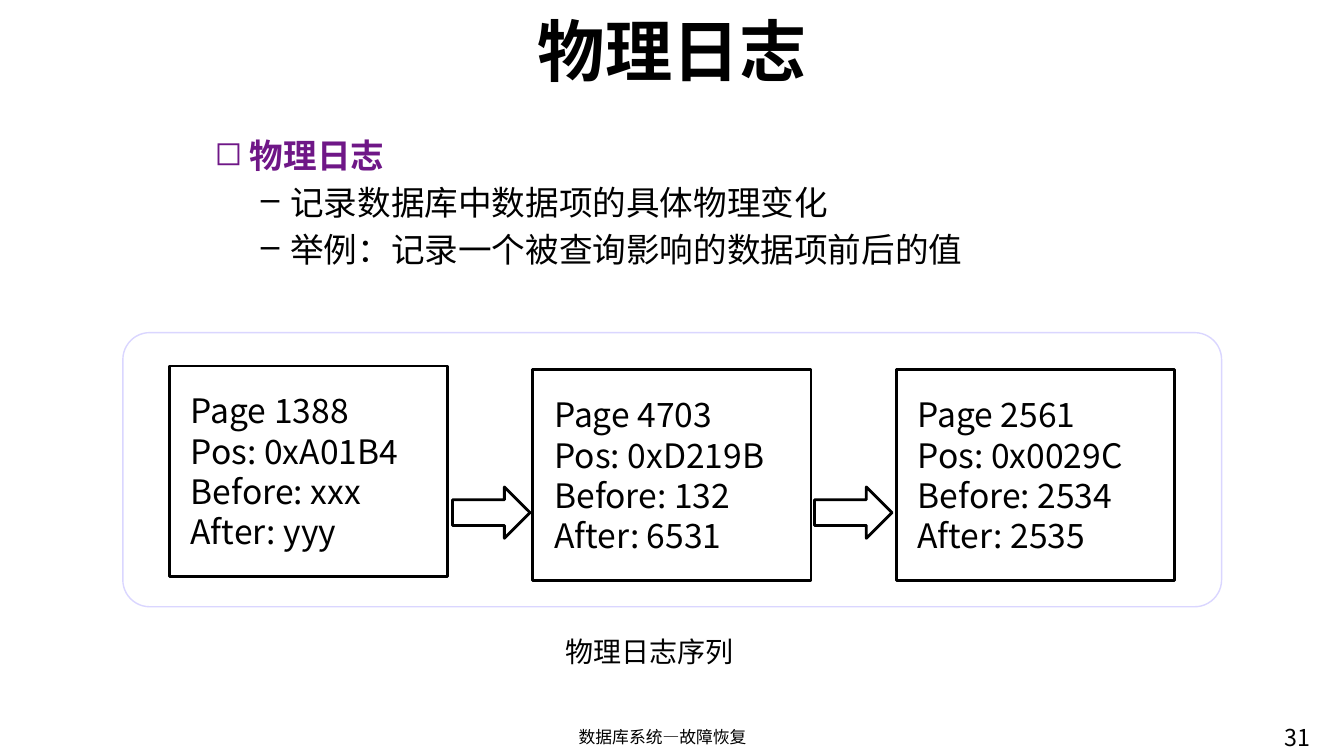
from dataclasses import dataclass

from lxml import etree
from pptx import Presentation
from pptx.dml.color import RGBColor as Rgb
from pptx.enum import shapes, text
from pptx.oxml import ns
from pptx.util import Pt


@dataclass(frozen=True)
class Theme:
    font: str = "Noto Sans CJK SC"
    ink: str = "000000"
    paper: str = "FFFFFF"
    accent: str = "6F1787"
    frame: str = "DAD6FF"
    title: float = 48
    body: float = 24
    label: float = 20
    page: float = 16.6
    foot: float = 12


THEME = Theme()
FORM = shapes.MSO_SHAPE
CENTER = text.PP_ALIGN.CENTER


def style(para, size, color=THEME.ink, bold=False, align=None):
    para.alignment = align
    font = para.font
    font.name, font.size, font.bold = THEME.font, Pt(size), bold
    font.color.rgb = Rgb.from_string(color)
    for run in para.runs:
        props = run._r.get_or_add_rPr()
        etree.SubElement(props, ns.qn("a:ea"), typeface=THEME.font)


def place(shape, area):
    shape.left, shape.top, shape.width, shape.height = map(Pt, area)


def add_text(slide, area, lines, size, align=None):
    box = slide.shapes.add_textbox(*map(Pt, area))
    frame = box.text_frame
    frame.word_wrap = True
    frame.text = "\n".join(lines)
    for para in frame.paragraphs:
        style(para, size, align=align)
    return frame


def add_form(slide, form, area, line=THEME.ink, width=2):
    shape = slide.shapes.add_shape(form, *map(Pt, area))
    shape.shadow.inherit = False
    shape.fill.solid()
    shape.fill.fore_color.rgb = Rgb.from_string(THEME.paper)
    shape.line.color.rgb = Rgb.from_string(line)
    shape.line.width = Pt(width)
    return shape


def add_title(slide, words):
    title = slide.shapes.title
    place(title, (82.8, 8.6, 794.9, 53.3))
    title.text_frame.text = words
    title.text_frame.vertical_anchor = text.MSO_ANCHOR.MIDDLE
    style(title.text_frame.paragraphs[0], THEME.title, bold=True, align=CENTER)


def set_bullet(para, mark, left, hang):
    props = para._p.get_or_add_pPr()
    props.set("marL", str(Pt(left)))
    props.set("indent", str(-Pt(hang)))
    etree.SubElement(props, ns.qn("a:buChar"), char=mark)


def add_points(slide, area, head, points):
    frame = add_text(slide, area, [], THEME.body)
    frame.text = "\n".join([head, *points])
    first, *rest = frame.paragraphs
    set_bullet(first, "◻", 25.2, 25.2)
    style(first, THEME.body, THEME.accent, bold=True)
    for para in rest:
        set_bullet(para, "–", 54, 20.9)
        para.space_before = Pt(4.8)
        para.level = 1
        style(para, THEME.body)


def add_record(slide, left, top, lines):
    add_form(slide, FORM.RECTANGLE, (left, top, 198.7, 150.5))
    add_text(slide, (left + 8.3, top + 13.8, 198.7, 123.8), lines, THEME.body)


def main():
    deck = Presentation()
    deck.slide_width, deck.slide_height = Pt(960), Pt(540)
    slide = deck.slides.add_slide(deck.slide_layouts[5])

    add_title(slide, "物理日志")
    panel = add_form(slide, FORM.ROUNDED_RECTANGLE,
                     (87.8, 237.6, 784.8, 195.8), THEME.frame, 1)
    panel.adjustments[0] = 0.098
    add_points(slide, (146.2, 92.9, 780, 120), "物理日志", [
        "记录数据库中数据项的具体物理变化",
        "举例：记录一个被查询影响的数据项前后的值",
    ])

    records = [
        (261.4, "1388", "0xA01B4", "xxx", "yyy"),
        (264.2, "4703", "0xD219B", "132", "6531"),
        (264.2, "2561", "0x0029C", "2534", "2535"),
    ]
    for i, (top, page, pos, old, new) in enumerate(records):
        lines = [f"Page {page}", f"Pos: {pos}",
                 f"Before: {old}", f"After: {new}"]
        add_record(slide, 121 + 259.6 * i, top, lines)
    for i in range(len(records) - 1):
        add_form(slide, FORM.RIGHT_ARROW,
                 (323.3 + 258.5 * i, 347.8, 55.4, 36.7))

    add_text(slide, (396.7, 450, 136.8, 31.7), ["物理日志序列"], THEME.label)
    add_text(slide, (321.8, 515.5, 303.1, 24.5),
             ["数据库系统—故障恢复"], THEME.foot, CENTER)
    add_text(slide, (910.8, 513.4, 60.5, 37.4), ["31"], THEME.page)
    deck.save("out.pptx")


if __name__ == "__main__":
    main()
